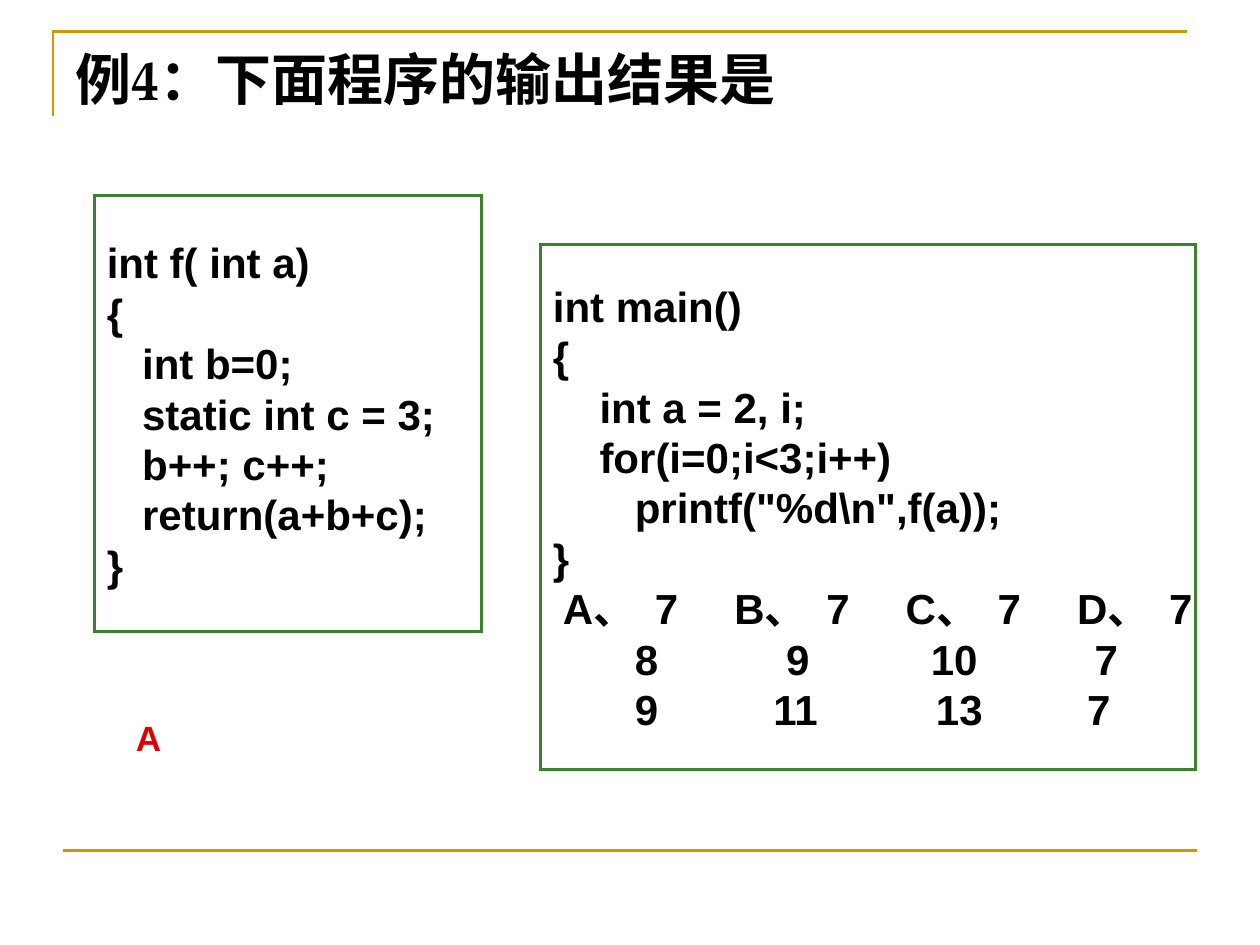
from lxml import etree
from pptx import Presentation, util as u
from pptx.dml.color import RGBColor
from pptx.enum import shapes, text
from pptx.oxml.ns import qn

COLORS = {"gold": "CC9900", "green": "3B812F", "black": "000000", "red": "DF0000"}
TITLE = {"name": "TeX Gyre Pagella", "size": u.Pt(32), "bold": True}
CODE = {"name": "Arial", "size": u.Pt(24), "bold": True}
ANSWER = {"name": "Arial", "size": u.Pt(20), "bold": True}

# Code lines as (indent in inches, text)
FUNCTION_LINES = [
    (0, "int f( int a)"), (0, "{"), (0.28, "int b=0;"),
    (0.28, "static int c = 3;"), (0.28, "b++; c++;"),
    (0.28, "return(a+b+c);"), (0, "}"),
]
MAIN_LINES = [
    (0, "int main()"), (0, "{"), (0.37, "int a = 2, i;"),
    (0.37, "for(i=0;i<3;i++)"), (0.65, 'printf("%d\\n",f(a));'), (0, "}"),
]
# Answer choices as (tab stop in inches, text)
LABEL_START, VALUE_START, CHOICE_PITCH = 0.08, 0.81, 1.36
CHOICE_ROWS = [
    [cell for column, letter in enumerate("ABCD") for cell in (
        (LABEL_START + column * CHOICE_PITCH, letter + "、"),
        (VALUE_START + column * CHOICE_PITCH, "7"))],
    [(0.65, "8"), (1.85, "9"), (3.0, "10"), (4.3, "7")],
    [(0.65, "9"), (1.75, "11"), (3.04, "13"), (4.24, "7")],
]


def write(paragraph, words, font, color):
    run = paragraph.add_run()
    run.text = words
    for name, value in font.items():
        setattr(run.font, name, value)
    run.font.color.rgb = RGBColor.from_string(COLORS[color])


def set_line(shape, color, width):
    shape.line.color.rgb = RGBColor.from_string(COLORS[color])
    shape.line.width = u.Pt(width)
    # Square corners
    outline = shape._element.spPr.find(qn("a:ln"))
    etree.SubElement(outline, qn("a:miter"), lim="800000")


def add_frame(slide, left, top, width, height):
    # Corner rule above and beside the title
    builder = slide.shapes.build_freeform(
        u.Inches(left), u.Inches(top + 0.67), scale=1.0)
    builder.add_line_segments(
        [(u.Inches(left), u.Inches(top)),
         (u.Inches(left + 9), u.Inches(top))], close=False)
    corner = builder.convert_to_shape()
    corner.shadow.inherit = False
    corner.fill.background()
    set_line(corner, "gold", 1.5)
    # Footer rule
    bottom = u.Inches(top + height)
    footer = slide.shapes.add_connector(
        shapes.MSO_CONNECTOR.STRAIGHT, u.Inches(left + width - 9), bottom,
        u.Inches(left + width), bottom)
    set_line(footer, "gold", 1.5)
    etree.SubElement(footer._element.spPr, qn("a:effectLst"))


def add_label(slide, box, words, font, color):
    label = slide.shapes.add_textbox(*map(u.Inches, box))
    label.text_frame.word_wrap = True
    write(label.text_frame.paragraphs[0], words, font, color)


def add_code_box(slide, box, line_width, lines, choice_rows=()):
    shape = slide.shapes.add_shape(shapes.MSO_SHAPE.RECTANGLE, *map(u.Inches, box))
    shape.shadow.inherit = False
    shape.fill.background()
    set_line(shape, "green", line_width)
    frame = shape.text_frame
    frame.word_wrap = True
    frame.margin_right = 0
    frame.vertical_anchor = text.MSO_ANCHOR.MIDDLE
    # Each choice starts at its own tab stop
    rows = [(indent, words, []) for indent, words in lines]
    rows += [(0, "".join("\t" + words for _, words in row), [stop for stop, _ in row])
             for row in choice_rows]
    for index, (indent, words, stops) in enumerate(rows):
        paragraph = frame.add_paragraph() if index else frame.paragraphs[0]
        paragraph.alignment = text.PP_ALIGN.LEFT
        paragraph.line_spacing = u.Pt(28.8)
        properties = paragraph._p.get_or_add_pPr()
        if indent:
            properties.set("marL", str(u.Inches(indent)))
        if stops:
            tabs = etree.SubElement(properties, qn("a:tabLst"))
            for stop in stops:
                etree.SubElement(tabs, qn("a:tab"), pos=str(u.Inches(stop)), algn="l")
        write(paragraph, words, CODE, "black")


def main():
    presentation = Presentation()
    presentation.slide_width, presentation.slide_height = u.Inches(10), u.Inches(7.5)
    slide = presentation.slides.add_slide(presentation.slide_layouts[6])
    add_frame(slide, 0.42, 0.25, 9.08, 6.5)
    add_label(slide, (0.5, 0.3, 9, 1.25), "例4：下面程序的输出结果是", TITLE, "black")
    add_code_box(slide, (4.29, 1.94, 5.2, 4.17), 1.5, MAIN_LINES, CHOICE_ROWS)
    add_label(slide, (0.98, 5.64, 0.87, 0.43), "A", ANSWER, "red")
    add_code_box(slide, (0.75, 1.55, 3.07, 3.46), 1.75, FUNCTION_LINES)
    presentation.save("out.pptx")


if __name__ == "__main__":
    main()
